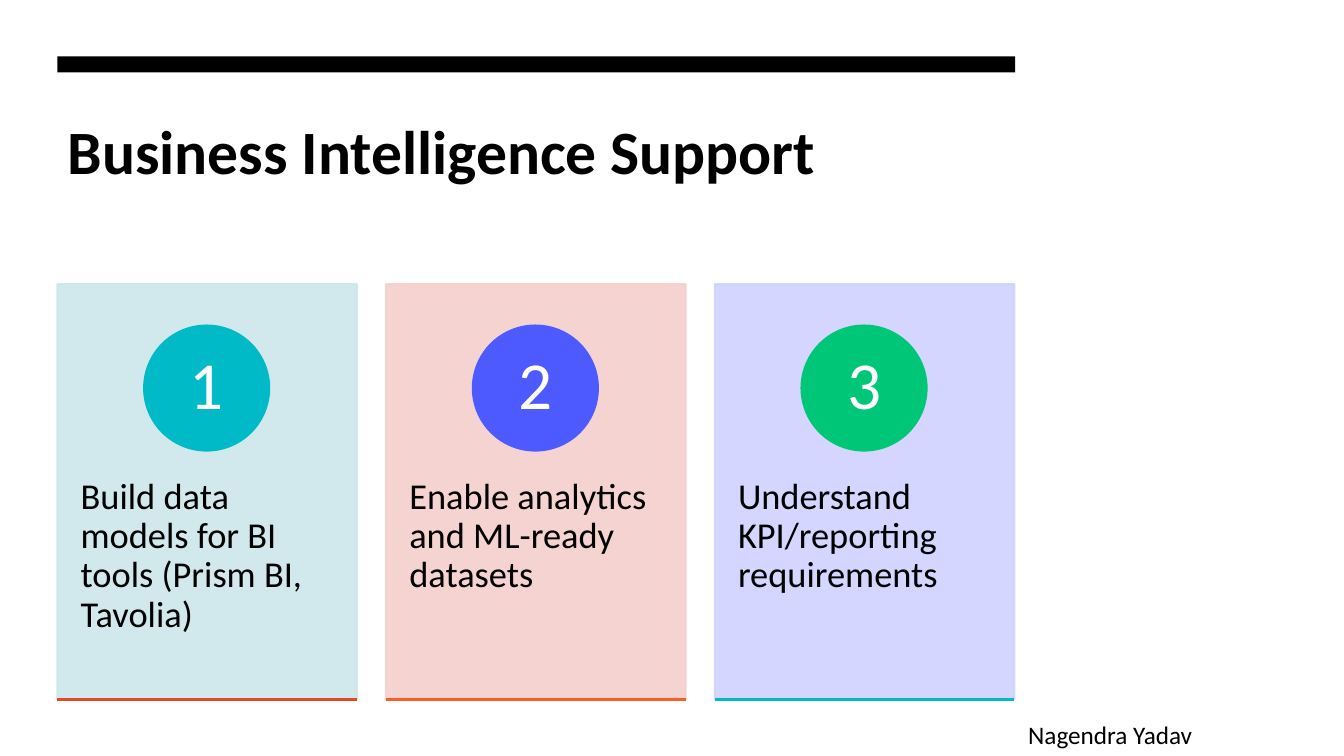
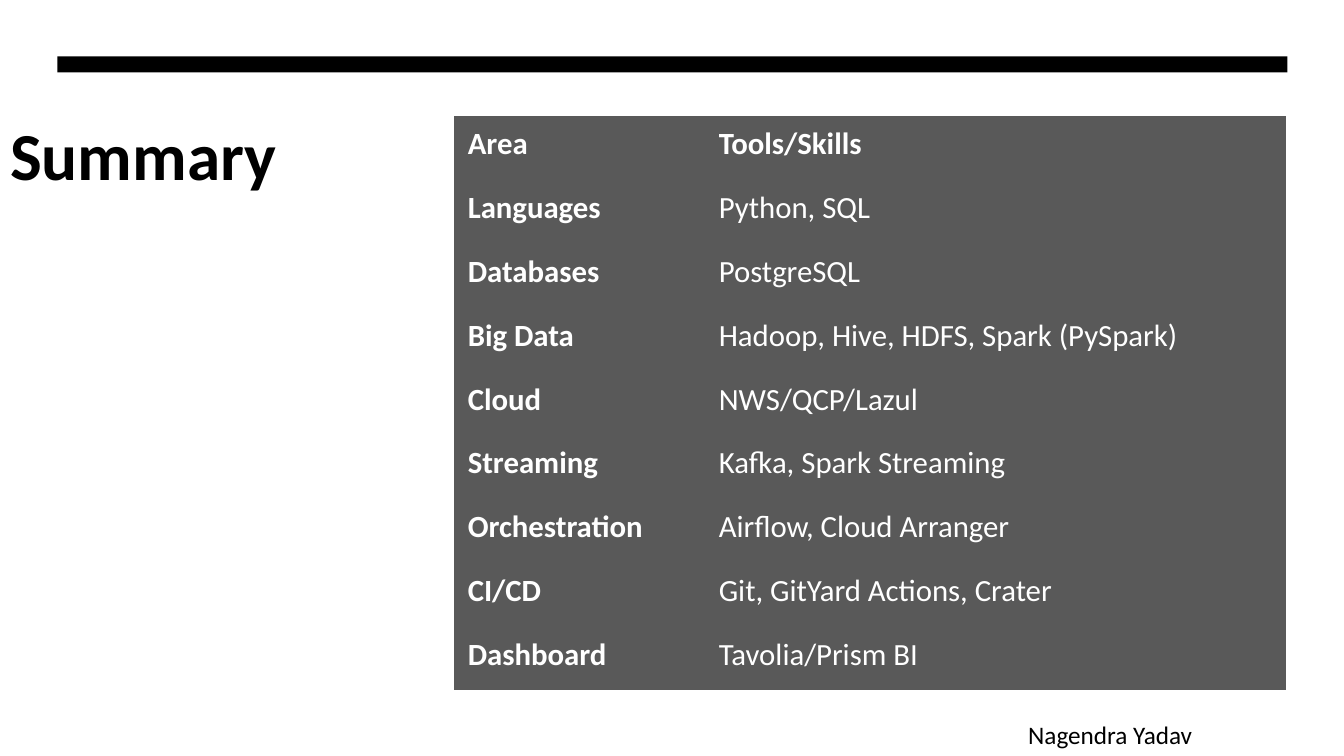
from lxml import etree
from pptx import Presentation
from pptx import util as u
from pptx.dml.color import RGBColor
from pptx.enum import shapes, text
from pptx.oxml.ns import qn

FONT = "Calibri"
COLORS = {
    "ink": "000000", "paper": "FFFFFF", "table": "595959",
    "mist": "CCE7EB", "rose": "F5CFCD", "lilac": "D0D2FF",
    "teal": "00BAC8", "blue": "4D5AFF", "green": "00C777",
    "red": "E64823", "orange": "FE5D21",
}
NO_GRID_STYLE = "{2D5ABB26-0587-4C30-8999-92F81FD0307C}"

# text, card colour, circle colour, base line colour
CARDS = [
    ("Build data models for BI tools (Prism BI, Tavolia)", "mist", "teal", "red"),
    ("Enable analytics and ML-ready datasets", "rose", "blue", "orange"),
    ("Understand KPI/reporting requirements", "lilac", "green", "teal"),
]
SKILLS = [
    ("Area", "Tools/Skills"),
    ("Languages", "Python, SQL"),
    ("Databases", "PostgreSQL"),
    ("Big Data", "Hadoop, Hive, HDFS, Spark (PySpark)"),
    ("Cloud", "NWS/QCP/Lazul"),
    ("Streaming", "Kafka, Spark Streaming"),
    ("Orchestration", "Airflow, Cloud Arranger"),
    ("CI/CD", "Git, GitYard Actions, Crater"),
    ("Dashboard", "Tavolia/Prism BI"),
]


def px(value):
    """100 px make one inch."""
    return u.Emu(value * 9144)


def place(*lengths):
    return [px(length) for length in lengths]


def color(name):
    return RGBColor.from_string(COLORS[name])


def write(frame, words, size, ink="ink", bold=False, align=text.PP_ALIGN.LEFT,
          spacing=1.0):
    frame.text = words
    para = frame.paragraphs[0]
    para.alignment = align
    para.line_spacing = spacing
    for span in para.runs:
        span.font.name = FONT
        span.font.size = u.Pt(size)
        span.font.bold = bold
        span.font.color.rgb = color(ink)


def set_margins(target, left, top, right, bottom):
    target.margin_left, target.margin_top = px(left), px(top)
    target.margin_right, target.margin_bottom = px(right), px(bottom)


def add_text(page, box, words, size, margins=(10, 5, 10, 5),
             anchor=text.MSO_ANCHOR.TOP, **style):
    frame = page.shapes.add_textbox(*place(*box)).text_frame
    frame.word_wrap = True
    frame.vertical_anchor = anchor
    set_margins(frame, *margins)
    write(frame, words, size, **style)


def add_solid(page, kind, box, fill, opacity=None):
    shape = page.shapes.add_shape(kind, *place(*box))
    shape.shadow.inherit = False
    shape.fill.solid()
    shape.fill.fore_color.rgb = color(fill)
    shape.line.color.rgb = color(fill)
    shape.line.width = u.Pt(1.5)
    if opacity:
        for tint in shape._element.spPr.iter(qn("a:srgbClr")):
            etree.SubElement(tint, qn("a:alpha"), val=str(opacity * 1000))
    return shape


def add_page(deck, title, title_box, title_size, bar_width):
    """Title, top bar and author name shared by all slides."""
    page = deck.slides.add_slide(deck.slide_layouts[5])
    heading = page.shapes.title
    heading.left, heading.top, heading.width, heading.height = place(*title_box)
    frame = heading.text_frame
    frame.auto_size = text.MSO_AUTO_SIZE.NONE
    frame.vertical_anchor = text.MSO_ANCHOR.TOP
    write(frame, title, title_size, bold=True)

    bar = add_solid(page, shapes.MSO_SHAPE.RECTANGLE, (57, 56, bar_width, 16), "ink")
    bar.line.fill.background()
    add_text(page, (1010, 709, 296, 41), "Nagendra Yadav", 18)
    return page


def add_card(page, box, number, words, fill, accent, base):
    left, top, width, height = box
    add_solid(page, shapes.MSO_SHAPE.RECTANGLE, box, fill, opacity=90)
    add_text(page, (left, top + 156, width, 247), words, 26,
             margins=(23, 36, 23, 36), spacing=0.9)

    # Numbered circle
    size = 124
    circle_left, circle_top = left + (width - size) // 2, top + 41
    add_solid(page, shapes.MSO_SHAPE.OVAL,
              (circle_left, circle_top, size, size), accent)
    inset = 18
    add_text(page, (circle_left + inset, circle_top + inset,
                    size - 2 * inset, size - 2 * inset), str(number), 48,
             margins=(10, 1, 10, 1), anchor=text.MSO_ANCHOR.MIDDLE,
             ink="paper", align=text.PP_ALIGN.CENTER, spacing=0.9)

    # Base line
    bottom = top + height
    line = page.shapes.add_connector(
        shapes.MSO_CONNECTOR.STRAIGHT, *place(left, bottom, left + width, bottom))
    line.line.color.rgb = color(base)
    line.line.width = u.Pt(1.5)
    etree.SubElement(line._element.spPr, qn("a:effectLst"))


def add_cards(page, box, gap):
    left, top, width, height = box
    card_width = (width - gap * (len(CARDS) - 1)) // len(CARDS)
    for index, card in enumerate(CARDS):
        card_left = left + index * (card_width + gap)
        add_card(page, (card_left, top, card_width, height), index + 1, *card)


def add_skills(page, box, first_width):
    frame = page.shapes.add_table(len(SKILLS), 2, *place(*box))
    table = frame.table
    table.horz_banding = False
    table._tbl.tblPr.find(qn("a:tableStyleId")).text = NO_GRID_STYLE
    table.columns[0].width = px(first_width)
    table.columns[1].width = px(box[2] - first_width)
    for row, entry in enumerate(SKILLS):
        for column, words in enumerate(entry):
            cell = table.cell(row, column)
            cell.fill.solid()
            cell.fill.fore_color.rgb = color("table")
            cell.vertical_anchor = text.MSO_ANCHOR.MIDDLE
            set_margins(cell, 14, 7, 14, 14)
            write(cell.text_frame, words, 22, ink="paper",
                  bold=row == 0 or column == 0)


def main():
    deck = Presentation()
    deck.slide_width, deck.slide_height = place(1333, 750)

    page = add_page(deck, "Business Intelligence Support", (57, 107, 950, 160), 44, 950)
    add_cards(page, (57, 282, 950, 412), gap=29)

    page = add_page(deck, "Summary", (0, 107, 429, 268), 48, 1220)
    add_skills(page, (450, 115, 826, 570), first_width=249)

    deck.save("out.pptx")


if __name__ == "__main__":
    main()
